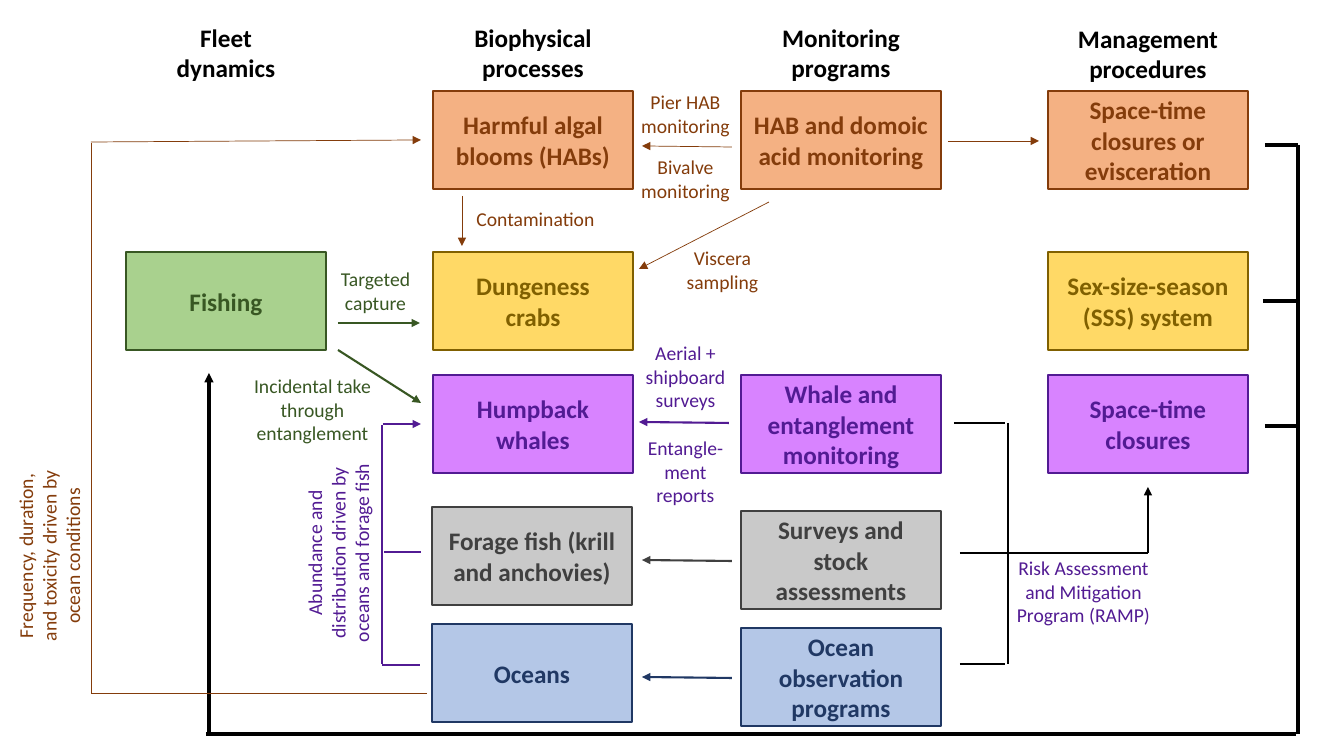
from lxml.etree import SubElement
from pptx import Presentation
from pptx.dml.color import RGBColor
from pptx.enum.shapes import MSO_CONNECTOR, MSO_SHAPE
from pptx.enum.text import MSO_ANCHOR, PP_ALIGN
from pptx.oxml.ns import qn
from pptx.util import Pt

PX = 914400 / 100.8
FONT = "Calibri"
BOX_W, BOX_H = 200, 98
INK = {"black": "000000", "hab": "843C0B", "crab": "806000", "whale": "521B93",
       "fishing": "385723", "forage": "404040", "ocean": "203864"}
FILL = {"hab": "F4B183", "crab": "FFD966", "whale": "D883FF",
        "fishing": "A9D18E", "forage": "C9C9C9", "ocean": "B4C7E7"}
FLEET, BIOPHYSICAL, MONITORING, MANAGEMENT = 126, 433, 741, 1048
HAB_ROW, CRAB_ROW, WHALE_ROW = 91, 252, 375

HEADINGS = [(FLEET, 17, "Fleet dynamics"), (BIOPHYSICAL, 17, "Biophysical processes"),
            (MONITORING, 17, "Monitoring programs"),
            (MANAGEMENT, 18, "Management procedures")]

# left, top, theme, text
BOXES = [
    (FLEET, CRAB_ROW, "fishing", "Fishing"),
    (BIOPHYSICAL, HAB_ROW, "hab", "Harmful algal blooms (HABs)"),
    (BIOPHYSICAL, CRAB_ROW, "crab", "Dungeness\ncrabs"),
    (BIOPHYSICAL, WHALE_ROW, "whale", "Humpback whales"),
    (BIOPHYSICAL - 1, 507, "forage", "Forage fish (krill and anchovies)"),
    (BIOPHYSICAL - 1, 624, "ocean", "Oceans"),
    (MONITORING, HAB_ROW, "hab", "HAB and domoic acid monitoring"),
    (MONITORING, WHALE_ROW, "whale", "Whale and entanglement monitoring"),
    (MONITORING, 511, "forage", "Surveys and stock assessments"),
    (MONITORING, 628, "ocean", "Ocean observation programs"),
    (MANAGEMENT, HAB_ROW, "hab", "Space-time closures or evisceration"),
    (MANAGEMENT, CRAB_ROW, "crab", "Sex-size-season (SSS) system"),
    (MANAGEMENT, WHALE_ROW, "whale", "Space-time closures"),
]

# left, top, width, height, theme, text, rotation
LABELS = [
    (630, 85, 111, 57, "hab", "Pier HAB monitoring", 0),
    (630, 150, 111, 57, "hab", "Bivalve monitoring", 0),
    (667, 241, 111, 57, "hab", "Viscera sampling", 0),
    (462, 202, 147, 34, "hab", "Contamination", 0),
    (305, 262, 141, 57, "fishing", "Targeted capture", 0),
    (242, 369, 141, 82, "fishing", "Incidental take through entanglement", 0),
    (630, 336, 111, 82, "whale", "Aerial + shipboard surveys", 0),
    (617, 431, 137, 82, "whale", "Entangle-ment\nreports", 0),
    (1002, 551, 163, 82, "whale", "Risk Assessment and Mitigation Program (RAMP)", 0),
    (238, 512, 201, 82, "whale",
     "Abundance and distribution driven by oceans and forage fish", 270),
    (-51, 515, 201, 82, "hab",
     "Frequency, duration, and toxicity driven by ocean conditions", 270),
]

# (theme, weight, has arrowhead): lines as x1, y1, x2, y2
LINES = {
    # Management feedback to fishing
    ("black", 2.25, False): [(1298, 145, 1298, 734), (1296, 734, 206, 734),
                             (1265, 145, 1298, 145), (1263, 301, 1296, 301),
                             (1265, 426, 1298, 426)],
    ("black", 2.25, True): [(209, 734, 209, 373)],
    # Risk assessment bracket
    ("black", 1.5, False): [(960, 553, 1148, 553), (960, 664, 1005, 664),
                            (954, 423, 1005, 423), (1008, 423, 1008, 664)],
    ("black", 1.5, True): [(1148, 553, 1148, 487)],
    # Fishing impacts
    ("fishing", 1.5, True): [(338, 323, 420, 323), (338, 350, 421, 403)],
    # Whale drivers and surveys
    ("whale", 1.5, False): [(382, 664, 382, 425), (420, 665, 382, 665),
                            (421, 552, 384, 552)],
    ("whale", 1.5, True): [(383, 424, 421, 424), (729, 423, 639, 422)],
    # Forage and ocean surveys
    ("forage", 1.5, True): [(732, 561, 642, 560)],
    ("ocean", 1.5, True): [(732, 678, 642, 677)],
    # Algal bloom links
    ("hab", 0.5, False): [(427, 693, 91, 693), (91, 143, 91, 693)],
    ("hab", 0.5, True): [(91, 142, 421, 140), (948, 141, 1039, 141),
                         (462, 196, 462, 246), (769, 202, 639, 269),
                         (732, 147, 642, 146)],
}


def emu(*pixels):
    return [round(p * PX) for p in pixels]


def rgb(value):
    return RGBColor.from_string(value)


def write(frame, text, size, color, bold=False):
    frame.word_wrap = True
    frame.text = text
    for paragraph in frame.paragraphs:
        paragraph.alignment = PP_ALIGN.CENTER
        font = paragraph.font
        font.name, font.size, font.bold = FONT, Pt(size), bold
        font.color.rgb = rgb(color)


def add_box(slide, left, top, theme, text):
    box = slide.shapes.add_shape(MSO_SHAPE.RECTANGLE, *emu(left, top, BOX_W, BOX_H))
    box.shadow.inherit = False
    box.fill.solid()
    box.fill.fore_color.rgb = rgb(FILL[theme])
    box.line.color.rgb = rgb(INK[theme])
    box.line.width = Pt(1)
    box.text_frame.vertical_anchor = MSO_ANCHOR.MIDDLE
    write(box.text_frame, text, 18, INK[theme], bold=True)


def add_label(slide, left, top, width, height, theme, text, rotation=0, size=14, bold=False):
    label = slide.shapes.add_textbox(*emu(left, top, width, height))
    label.rotation = rotation
    write(label.text_frame, text, size, INK[theme], bold)


def add_line(slide, ends, theme, weight, arrow):
    line = slide.shapes.add_connector(MSO_CONNECTOR.STRAIGHT, *emu(*ends))
    line.line.color.rgb = rgb(INK[theme])
    line.line.width = Pt(weight)
    if arrow:
        SubElement(line.line._get_or_add_ln(), qn("a:tailEnd"), type="triangle")
    SubElement(line._element.spPr, qn("a:effectLst"))


def main():
    deck = Presentation()
    deck.slide_width, deck.slide_height = emu(1344, 756)
    slide = deck.slides.add_slide(deck.slide_layouts[6])

    # Column headings
    for column, top, text in HEADINGS:
        add_label(slide, column + 16, top, BOX_W - 32, 72, "black", text, size=18, bold=True)

    # Boxes, links and their labels
    for box in BOXES:
        add_box(slide, *box)
    for style, lines in LINES.items():
        for ends in lines:
            add_line(slide, ends, *style)
    for label in LABELS:
        add_label(slide, *label)

    deck.save("out.pptx")


main()
